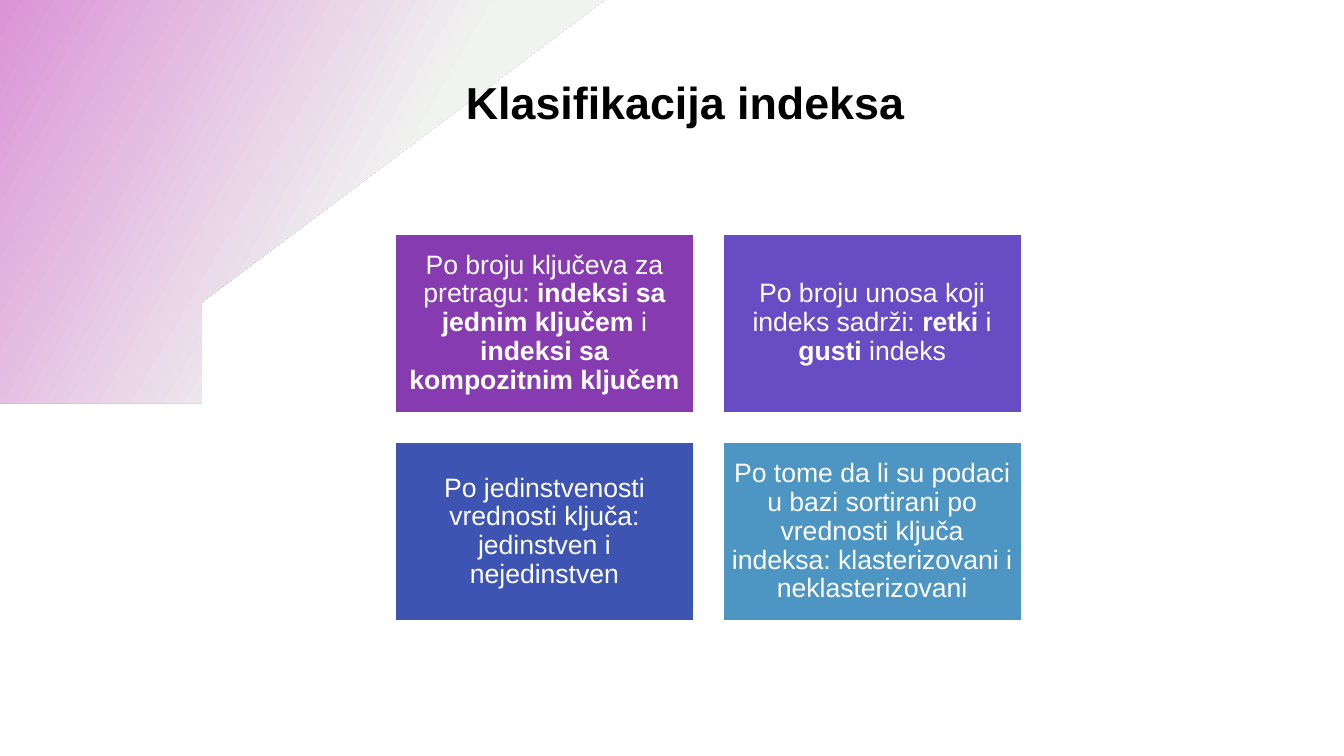
from dataclasses import dataclass

from pptx import Presentation
from pptx.dml.color import RGBColor
from pptx.enum.shapes import MSO_SHAPE
from pptx.enum.text import MSO_ANCHOR, MSO_AUTO_SIZE, PP_ALIGN
from pptx.util import Inches, Pt


@dataclass(frozen=True)
class Theme:
    font: str = "Arial"
    title_size: int = 32
    card_size: int = 19
    black: str = "000000"
    white: str = "FFFFFF"
    pink: str = "DB94D7"
    pale: str = "F0F3F0"
    cards: tuple = ("873BB1", "674DC3", "3E54B3", "4D95C3")


def curve_points(start, control_1, control_2, end, steps=24):
    """Sample a cubic Bezier curve, leaving out its start point."""
    for step in range(1, steps + 1):
        t = step / steps
        weights = ((1 - t) ** 3, 3 * t * (1 - t) ** 2, 3 * t**2 * (1 - t), t**3)
        yield tuple(
            sum(weight * value for weight, value in zip(weights, axis))
            for axis in zip(start, control_1, control_2, end)
        )


def add_run(paragraph, text, size, color, bold):
    run = paragraph.add_run()
    run.text = text
    settings = {"name": theme.font, "size": Pt(size), "bold": bold}
    for attribute, value in settings.items():
        setattr(run.font, attribute, value)
    run.font.color.rgb = RGBColor.from_string(color)


theme = Theme()
presentation = Presentation()
presentation.slide_width = Inches(13.33)
presentation.slide_height = Inches(7.5)
slide = presentation.slides.add_slide(presentation.slide_layouts[5])

# Corner sweep behind the title
sweep_points = [
    *curve_points((0.79, 3.8), (0.56, 3.8), (0.32, 3.76), (0.09, 3.68)),
    (-0.01, 3.64), (-0.01, 0), (6.45, 0), (2.17, 3.36), (2.12, 3.4),
    *curve_points((2.12, 3.4), (1.76, 3.65), (1.34, 3.79), (0.92, 3.8)),
]
builder = slide.shapes.build_freeform(0.79, 3.8, scale=Inches(1))
builder.add_line_segments(sweep_points, close=True)
sweep = builder.convert_to_shape()
sweep.shadow.inherit = False
sweep.line.fill.background()
sweep.fill.gradient()
sweep.fill.gradient_angle = 330
sweep_stops = ((0, theme.pink), (0.6, theme.pale))
for stop, (position, color) in zip(sweep.fill.gradient_stops, sweep_stops):
    stop.position = position
    stop.color.rgb = RGBColor.from_string(color)

# Title, moved in front of the sweep
title = slide.shapes.title
sweep.element.addnext(title.element)
title_box = {"left": 4.52, "top": 0.75, "width": 5.5, "height": 1.16}
for attribute, value in title_box.items():
    setattr(title, attribute, Inches(value))
title_frame = title.text_frame
title_format = {
    "auto_size": MSO_AUTO_SIZE.NONE,
    "vertical_anchor": MSO_ANCHOR.TOP,
    "word_wrap": True,
}
for attribute, value in title_format.items():
    setattr(title_frame, attribute, value)
title_paragraph = title_frame.paragraphs[0]
title_paragraph.alignment = PP_ALIGN.LEFT
title_paragraph.line_spacing = 0.9
add_run(title_paragraph, "Klasifikacija indeksa", theme.title_size, theme.black, True)

# Two by two grid of cards; runs alternate between regular and bold
columns = 2
grid_left, grid_top = 3.92, 2.32
card_width, card_height = 2.96, 1.77
column_step, row_step = 3.25, 2.07
card_texts = (
    ("Po broju ključeva za pretragu: ", "indeksi sa jednim ključem", " i ",
     "indeksi sa kompozitnim ključem"),
    ("Po broju unosa koji indeks sadrži: ", "retki", " i ", "gusti", " indeks"),
    ("Po jedinstvenosti vrednosti ključa: jedinstven i nejedinstven",),
    ("Po tome da li su podaci u bazi sortirani po vrednosti ključa indeksa: "
     "klasterizovani i neklasterizovani",),
)
card_format = {
    "word_wrap": True,
    "vertical_anchor": MSO_ANCHOR.MIDDLE,
    "margin_left": Inches(0.08),
    "margin_right": Inches(0.08),
    "margin_top": Inches(0.08),
    "margin_bottom": Inches(0.08),
}
paragraph_format = {
    "alignment": PP_ALIGN.CENTER,
    "line_spacing": 0.9,
    "space_after": Pt(7),
}
for index, (color, texts) in enumerate(zip(theme.cards, card_texts)):
    row, column = divmod(index, columns)
    card = slide.shapes.add_shape(
        MSO_SHAPE.RECTANGLE,
        Inches(grid_left + column * column_step),
        Inches(grid_top + row * row_step),
        Inches(card_width),
        Inches(card_height),
    )
    card.shadow.inherit = False
    card.fill.solid()
    card.fill.fore_color.rgb = RGBColor.from_string(color)
    card.line.color.rgb = RGBColor.from_string(theme.white)
    card.line.width = Pt(1)
    for attribute, value in card_format.items():
        setattr(card.text_frame, attribute, value)
    paragraph = card.text_frame.paragraphs[0]
    for attribute, value in paragraph_format.items():
        setattr(paragraph, attribute, value)
    for position, text in enumerate(texts):
        add_run(paragraph, text, theme.card_size, theme.white, position % 2 == 1)

presentation.save("out.pptx")
